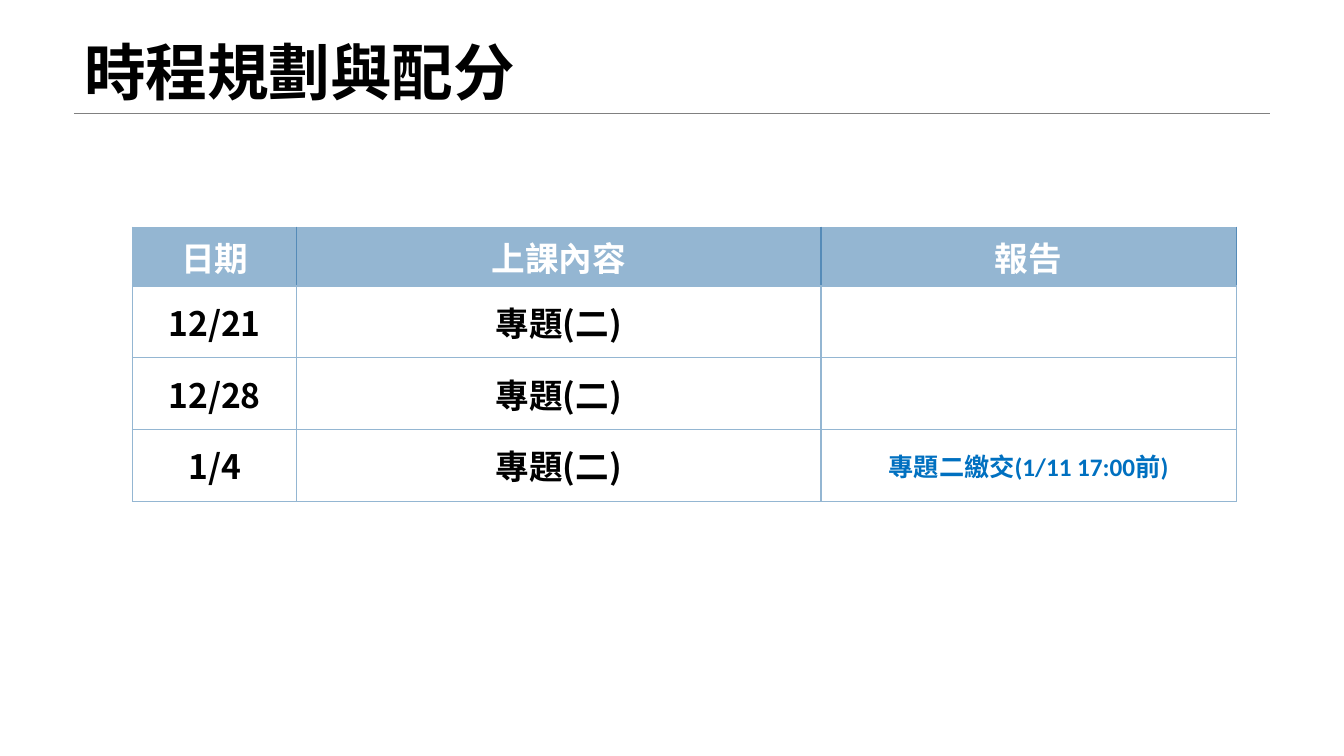
from dataclasses import dataclass

from lxml.etree import SubElement
from pptx import Presentation
from pptx.dml.color import RGBColor
from pptx.enum.shapes import MSO_CONNECTOR
from pptx.enum.text import MSO_ANCHOR, MSO_AUTO_SIZE, PP_ALIGN
from pptx.oxml.ns import qn
from pptx.util import Pt


@dataclass(frozen=True)
class Theme:
    black: str = "000000"
    white: str = "FFFFFF"
    rule: str = "808080"
    header: str = "94B6D2"
    divider: str = "558BB8"
    deadline: str = "0070C0"
    cjk: str = "Noto Sans CJK SC"
    latin: str = "Calibri"
    title_size: int = 44
    cell_size: int = 24
    note_size: int = 18


theme = Theme()


def format_text(frame, size, color, latin=theme.cjk):
    """Style every run, with the CJK font for its East Asian characters."""
    for para in frame.paragraphs:
        for span in para.runs:
            span.font.size = Pt(size)
            span.font.bold = True
            span.font.color.rgb = RGBColor.from_string(color)
            span.font.name = latin
            SubElement(span.font._element, qn("a:ea"), typeface=theme.cjk)


def add_border(cell, side, color):
    line = SubElement(cell._tc.get_or_add_tcPr(), qn(f"a:ln{side}"), w=str(Pt(1)))
    fill = SubElement(line, qn("a:solidFill"))
    SubElement(fill, qn("a:srgbClr"), val=color)


deck = Presentation()
deck.slide_width, deck.slide_height = Pt(960), Pt(540)
page = deck.slides.add_slide(deck.slide_layouts[5])

# Title and rule
rule_left, rule_top, rule_width = 52.8, 81, 854.4
title = page.shapes.title
title.left, title.top = Pt(rule_left), Pt(0)
title.width, title.height = Pt(rule_width), Pt(rule_top)
frame = title.text_frame
frame.text = "時程規劃與配分"
frame.word_wrap = True
frame.auto_size = MSO_AUTO_SIZE.NONE
frame.vertical_anchor = MSO_ANCHOR.BOTTOM
frame.paragraphs[0].alignment = PP_ALIGN.LEFT
frame.paragraphs[0].line_spacing = 0.9
format_text(frame, theme.title_size, theme.black)

rule = page.shapes.add_connector(
    MSO_CONNECTOR.STRAIGHT,
    Pt(rule_left), Pt(rule_top), Pt(rule_left + rule_width), Pt(rule_top),
)
rule.line.color.rgb = RGBColor.from_string(theme.rule)
rule.line.width = Pt(0.25)
SubElement(rule._element.spPr, qn("a:effectLst"))

# Schedule
schedule = [
    ("日期", "上課內容", "報告"),
    ("12/21", "專題(二)", ""),
    ("12/28", "專題(二)", ""),
    ("1/4", "專題(二)", "專題二繳交(1/11 17:00前)"),
]
widths = [117.4, 374.4, 296.6]
heights = [42, 51.2, 51.2, 51.2]
table = page.shapes.add_table(
    len(schedule), len(widths), Pt(94.6), Pt(162.3), Pt(sum(widths)), Pt(sum(heights))
).table
for column, width in zip(table.columns, widths):
    column.width = Pt(width)
for row, height in zip(table.rows, heights):
    row.height = Pt(height)

for r, entries in enumerate(schedule):
    is_header = r == 0
    for c, entry in enumerate(entries):
        cell = table.cell(r, c)
        inner = theme.divider if is_header else theme.header
        add_border(cell, "L", inner if c > 0 else theme.header)
        add_border(cell, "R", inner)
        add_border(cell, "T", theme.header)
        add_border(cell, "B", theme.header)
        cell.fill.solid()
        cell.fill.fore_color.rgb = RGBColor.from_string(
            theme.header if is_header else theme.white
        )
        cell.vertical_anchor = MSO_ANCHOR.MIDDLE
        cell.text_frame.text = entry
        cell.text_frame.paragraphs[0].alignment = PP_ALIGN.CENTER
        if is_header:
            format_text(cell.text_frame, theme.cell_size, theme.white)
        elif c == 2:
            format_text(cell.text_frame, theme.note_size, theme.deadline, theme.latin)
        else:
            format_text(cell.text_frame, theme.cell_size, theme.black)

deck.save("out.pptx")
